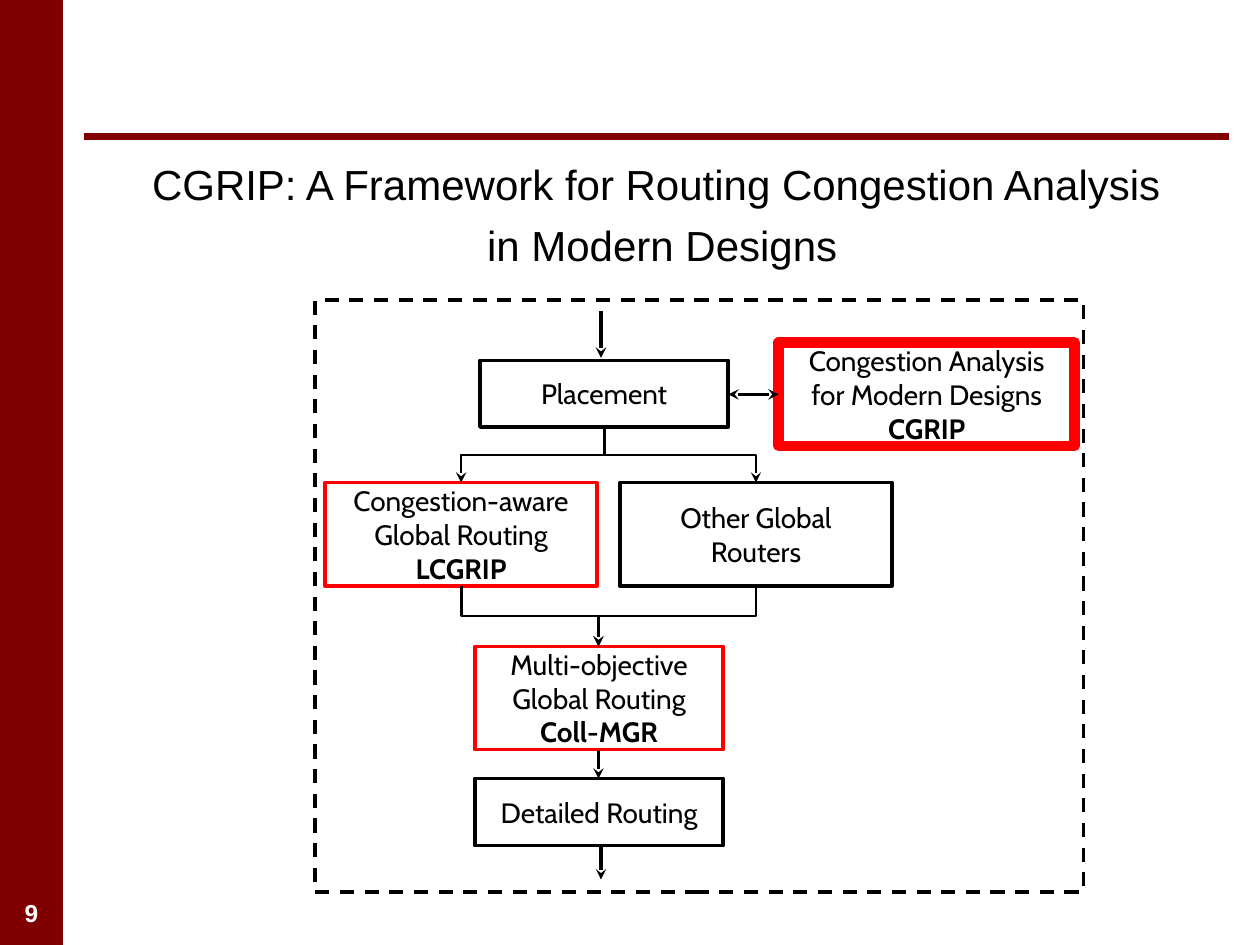
from lxml import etree
from pptx import Presentation
from pptx.dml.color import RGBColor
from pptx.enum.dml import MSO_LINE
from pptx.enum.shapes import MSO_CONNECTOR, MSO_SHAPE
from pptx.enum.text import MSO_ANCHOR, PP_ALIGN
from pptx.oxml.ns import qn
from pptx.util import Inches, Pt

RECT, STRAIGHT, ELBOW = MSO_SHAPE.RECTANGLE, MSO_CONNECTOR.STRAIGHT, MSO_CONNECTOR.ELBOW
MIDDLE, TOP, CENTER = MSO_ANCHOR.MIDDLE, MSO_ANCHOR.TOP, PP_ALIGN.CENTER
DASH = MSO_LINE.DASH
MAROON = RGBColor(0x80, 0x00, 0x00)
RED = RGBColor(0xFF, 0x00, 0x00)
BLACK = RGBColor(0x00, 0x00, 0x00)
WHITE = RGBColor(0xFF, 0xFF, 0xFF)

# Content
TITLE = ["CGRIP: A Framework for Routing Congestion Analysis ", "in Modern Designs"]
PAGE = "9"

# Flow steps: left, top, width, height, line colour, line width, plain lines, bold name
STEPS = [
    (3.81, 2.86, 1.97, 0.53, BLACK, 2, ["Placement"], None),
    (6.18, 2.72, 2.35, 0.82, RED, 6, ["Congestion Analysis for Modern Designs"], "CGRIP"),
    (3.77, 5.13, 1.97, 0.82, RED, 2, ["Multi-objective", "Global Routing"], "Coll-MGR"),
    (3.77, 6.18, 1.97, 0.53, BLACK, 2, ["Detailed Routing"], None),
    (2.58, 3.83, 2.16, 0.82, RED, 2, ["Congestion-aware", "Global Routing"], "LCGRIP"),
    (4.92, 3.83, 2.16, 0.82, BLACK, 2, ["Other Global Routers"], None),
]
FRAME = (2.5, 2.38, 6.1, 4.7)

# Arrows: start, end, arrowheads
ARROWS = [
    ((5.78, 3.13), (6.18, 3.13), ("headEnd", "tailEnd")),
    ((4.75, 5.95), (4.75, 6.18), ("tailEnd",)),
    ((4.77, 2.47), (4.77, 2.84), ("tailEnd",)),
    ((4.77, 6.71), (4.77, 6.98), ("tailEnd",)),
]
# Branches leave and arrive vertically: start, end
BRANCHES = [
    ((4.8, 3.39), (6, 3.83)),
    ((4.8, 3.39), (3.66, 3.83)),
    ((6, 4.65), (4.75, 5.13)),
    ((3.66, 4.65), (4.75, 5.13)),
]

prs = Presentation()
prs.slide_width, prs.slide_height = Inches(10), Inches(7.5)
slide = prs.slides.add_slide(prs.slide_layouts[6])


def add_box(bounds, color=None, width=0, fill=None):
    box = slide.shapes.add_shape(RECT, *map(Inches, bounds))
    box.shadow.inherit = False
    if fill is None:
        box.fill.background()
    else:
        box.fill.solid()
        box.fill.fore_color.rgb = fill
    if color is None:
        box.line.fill.background()
    else:
        box.line.color.rgb = color
        box.line.width = Pt(width)
    return box


def write(frame, lines, size, font, color=BLACK, anchor=MIDDLE, before=0):
    """Fill a frame with centred paragraphs given as (text, bold)."""
    frame.word_wrap = True
    frame.vertical_anchor = anchor
    for i, (text, bold) in enumerate(lines):
        para = frame.paragraphs[0] if i == 0 else frame.add_paragraph()
        para.alignment = CENTER
        para.space_before = Pt(before)
        run = para.add_run()
        run.text = text
        run.font.name, run.font.size, run.font.bold = font, Pt(size), bold
        run.font.color.rgb = color


def add_line(kind, start, end, color=BLACK, width=2, heads=()):
    line = slide.shapes.add_connector(kind, *map(Inches, (*start, *end)))
    line.line.color.rgb = color
    line.line.width = Pt(width)
    ln = line.line._get_or_add_ln()
    for head in heads:
        etree.SubElement(ln, qn("a:" + head), type="stealth")
    etree.SubElement(line.element.spPr, qn("a:effectLst"))
    return line


def add_branch(start, end):
    """Turn a horizontal elbow a quarter so that it runs downwards."""
    (x1, y1), (x2, y2) = start, end
    mid_x, mid_y = (x1 + x2) / 2, (y1 + y2) / 2
    half_w, half_h = (y2 - y1) / 2, abs(x2 - x1) / 2
    side = 1 if x2 > x1 else -1
    branch = add_line(ELBOW, (mid_x + side * half_w, mid_y - half_h),
                      (mid_x - side * half_w, mid_y + half_h), width=1.5, heads=("tailEnd",))
    turn = 270 if side == 1 else 90
    branch.element.spPr.find(qn("a:xfrm")).set("rot", str(turn * 60000))


# Side bar, rule and page number
add_box((0, 0, 0.5, 7.5), fill=MAROON)
add_line(STRAIGHT, (0.67, 1.08), (9.75, 1.08), MAROON, 4)
page_box = slide.shapes.add_textbox(*map(Inches, (0, 7.08, 0.5, 0.33)))
write(page_box.text_frame, [(PAGE, True)], 14, "Arial", WHITE)

# Title
title_box = slide.shapes.add_textbox(*map(Inches, (0.67, 1.26, 9.17, 0.99)))
title_box.text_frame.margin_top = 0
write(title_box.text_frame, [(text, False) for text in TITLE], 24, "Arial",
      anchor=TOP, before=6)

# Flow chart
for *bounds, color, width, plain, name in STEPS:
    lines = [(text, False) for text in plain] + ([(name, True)] if name else [])
    write(add_box(bounds, color, width).text_frame, lines, 16, "Cabin")

for start, end, heads in ARROWS:
    add_line(STRAIGHT, start, end, heads=heads)

add_box(FRAME, BLACK, 2).line.dash_style = DASH

for start, end in BRANCHES:
    add_branch(start, end)

prs.save("out.pptx")
